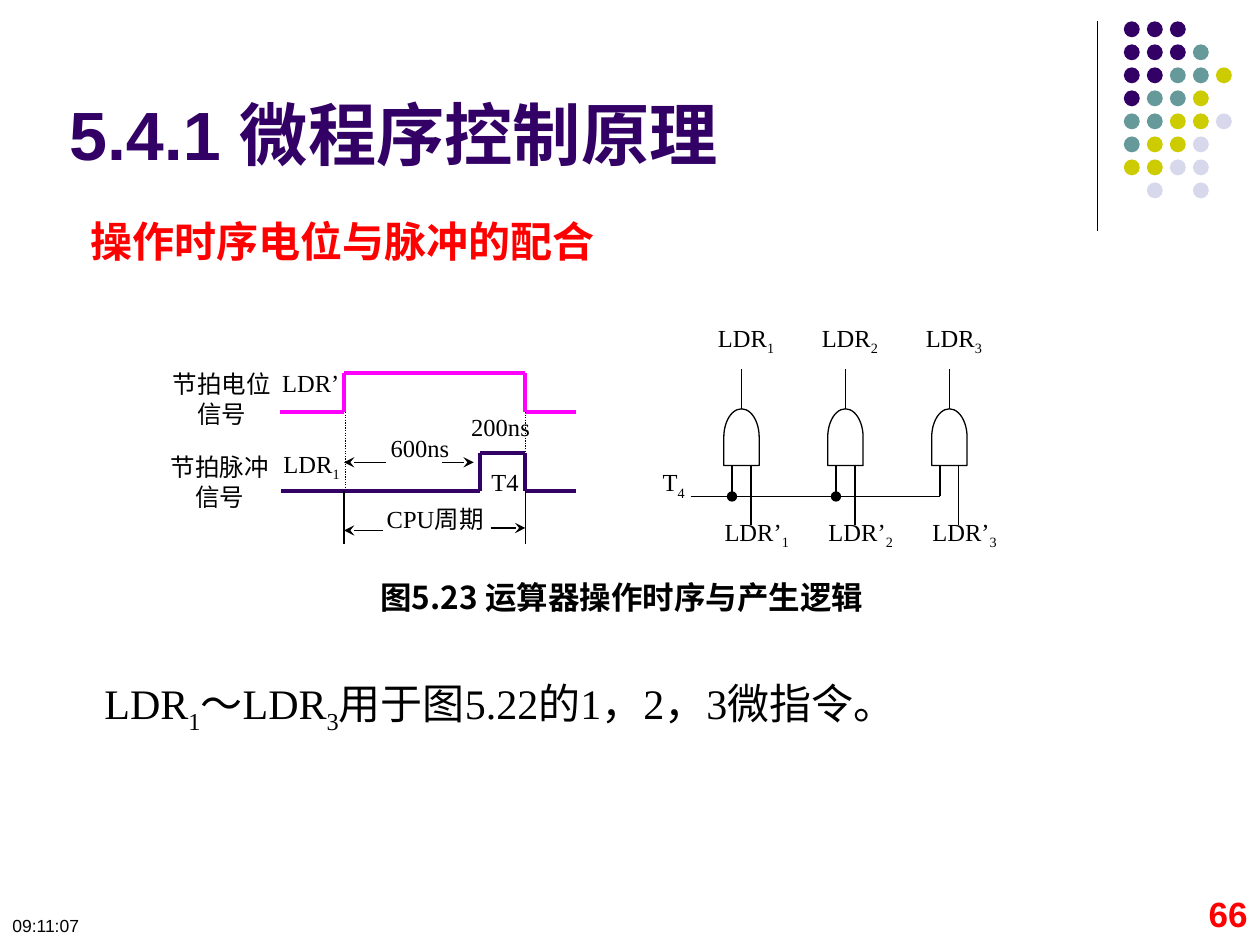
from dataclasses import dataclass

from pptx import Presentation
from pptx.dml import color as col
from pptx.enum import dml, shapes as sh, text as tx
from pptx.oxml import ns, xmlchemy as xml
from pptx.util import Pt


@dataclass(frozen=True)
class Theme:
    ink: str = "000000"
    deep: str = "330066"
    teal: str = "669999"
    lime: str = "CCCC00"
    pale: str = "D8D8EC"
    pink: str = "FF00FF"
    red: str = "FF0000"
    white: str = "FFFFFF"
    sans: str = "Arial"
    serif: str = "Times New Roman"
    han: str = "Noto Sans CJK SC"
    title: float = 39
    body: float = 24
    note: float = 18
    page: float = 20
    label: float = 14
    clock: float = 10
    thin: float = 0.75
    thick: float = 2.25


T = Theme()


def rgb(code):
    return col.RGBColor.from_string(code)


def apply(obj, vals):
    for key, val in vals.items():
        setattr(obj, key, val)


def sub(node, tag, **vals):
    child = xml.OxmlElement(tag)
    for key, val in vals.items():
        child.set(key, val)
    node.append(child)


def write(para, words, size, face, hue, bold, low=False):
    run = para.add_run()
    run.text = words
    apply(run.font, {"size": Pt(size), "name": face, "bold": bold})
    run.font.color.rgb = rgb(hue)
    props = run.font._element
    sub(props, "a:ea", typeface=T.han)
    if low:
        props.set("baseline", "-25000")


def label(parts, box, words, size=T.label, face=T.serif, hue=T.ink,
          bold=False, align=tx.PP_ALIGN.LEFT, pad=(0, 0)):
    item = parts.add_textbox(*map(Pt, box))
    frame = item.text_frame
    side, edge = map(Pt, pad)
    apply(frame, {"word_wrap": True, "margin_left": side, "margin_right": side,
                  "margin_top": edge, "margin_bottom": edge})
    para = frame.paragraphs[0]
    para.alignment = align
    style = (size, face, hue, bold)
    first, *rest = words.split("_")
    write(para, first, *style)
    for piece in rest:
        write(para, piece[0], *style, low=True)
        if piece[1:]:
            write(para, piece[1:], *style)


def line(parts, x1, y1, x2, y2, hue=T.ink, width=T.thin, dash=None, tail=None):
    item = parts.add_connector(sh.MSO_CONNECTOR.STRAIGHT, *map(Pt, (x1, y1, x2, y2)))
    apply(item.line, {"width": Pt(width), "dash_style": dash})
    item.line.color.rgb = rgb(hue)
    if tail:
        sub(item.line._get_or_add_ln(), "a:tailEnd", type=tail)
    sub(item._element.find(ns.qn("p:spPr")), "a:effectLst")


def solid(parts, kind, box, fill, edge=None):
    item = parts.add_shape(kind, *map(Pt, box))
    item.shadow.inherit = False
    item.fill.solid()
    item.fill.fore_color.rgb = rgb(fill)
    if edge:
        item.line.color.rgb = rgb(edge)
        item.line.width = Pt(T.thin)
    else:
        item.line.fill.background()
    return item


def dots(slide, box):
    x, y, wide, high = box
    line(slide.shapes, x, y, x, y + high)
    parts = slide.shapes.add_group_shape().shapes
    hues = {"d": T.deep, "t": T.teal, "l": T.lime, "p": T.pale}
    rows = ("ddd", "dddt", "ddttl", "dttl", "ttllp", "tllp", "llpp", ".p.p")
    size = 9.1
    step = (wide - 15.1 - size) / 4
    for r, row in enumerate(rows):
        for c, key in enumerate(row):
            if key in hues:
                spot = (x + 15.1 + c * step, y + r * step, size, size)
                solid(parts, sh.MSO_SHAPE.OVAL, spot, hues[key])


def waves(slide, box):
    x, y = box
    parts = slide.shapes.add_group_shape().shapes
    start, rise, fall, end = x + 64, x + 178.5, x + 204.2, x + 233
    left = x + 100.6
    high, low, top, base, foot = y + 3.1, y + 25.4, y + 49, y + 70.8, y + 101
    for begin, up, peak, floor, hue in ((start, left, high, low, T.pink),
                                        (start + 0.7, rise, top, base, T.deep)):
        for ends in ((begin, floor, up, floor), (up, floor, up, peak),
                     (up, peak, fall, peak), (fall, peak, fall, floor),
                     (fall, floor, end, floor)):
            line(parts, *ends, hue=hue, width=T.thick)
    for pos, stop in ((left + 0.7, base - 1.5), (fall, top)):
        line(parts, pos, low, pos, stop, dash=dml.MSO_LINE.ROUND_DOT)
    for pos in (left, fall):
        line(parts, pos, base, pos, foot)
    for x1, x2, drop in ((156.7, 174.7, 54.2), (124.5, 100.6, 54.2),
                         (184.3, 204.2, 91.7), (123.1, 100.6, 93.1)):
        line(parts, x + x1, y + drop, x + x2, y + drop, tail="stealth")
    for dx, dy, wide, words in ((173.3, 25.4, 41, "200ns"), (127.2, 37.7, 36, "600ns"),
                                (65.3, 0.2, 42, "LDR’"), (66, 46.3, 36, "LDR_1"),
                                (125, 78, 60, "CPU周期"), (184.8, 57.1, 25, "T4")):
        label(parts, (x + dx, y + dy, wide, 26), words)
    for dx, dy, words in ((1.2, 1, "节拍电位信号"), (0, 48.5, "节拍脉冲信号")):
        label(parts, (x + dx, y + dy, 59, 39), words, align=tx.PP_ALIGN.CENTER)


def gates(slide, box):
    x, y = box
    parts = slide.shapes.add_group_shape().shapes
    step, gap, wide, high = 59.4, 5.4, 32.4, 20.2
    bus = y + 99.4
    last = x + 45 + 2 * step - gap
    label(parts, (x, y + 82.8, 25, 26), "T_4")
    line(parts, x + 15.9, bus, last, bus)
    for k in range(3):
        mid = x + 45 + k * step
        spot = (mid - wide / 2, y + 65.5 - high / 2, wide, high)
        gate = solid(parts, sh.MSO_SHAPE.FLOWCHART_DELAY, spot, T.white, T.ink)
        gate.rotation = 270
        line(parts, mid, y + 26.7, mid, y + 49)
        line(parts, mid - gap, y + 82, mid - gap, bus, tail="oval" if k < 2 else None)
        line(parts, mid + gap, y + 82, mid + gap, y + 116)
        label(parts, (mid - 13.5, y, 48, 26), f"LDR_{k + 1}")
        label(parts, (mid - 9.7, y + 111, 48, 26), f"LDR’_{k + 1}")


def words(slide):
    parts = slide.shapes
    pad = (7.2, 3.6)
    label(parts, (32.4, 49, 409, 62.6), "5.4.1 微程序控制原理",
          T.title, T.sans, T.deep, True, pad=pad)
    label(parts, (44.6, 119.5, 330, 36), "操作时序电位与脉冲的配合",
          T.body, T.han, T.red, True, pad=pad)
    label(parts, (217.4, 330.5, 300, 24.5), "图5.23 运算器操作时序与产生逻辑",
          T.note, T.han, bold=True)
    label(parts, (52.6, 383.8, 471, 36), "LDR_1〜LDR_3用于图5.22的1，2，3微指令。",
          T.body, pad=pad)


def foot(slide, box):
    x, y, wide, high = box
    pad = (7.2, 3.6)
    label(slide.shapes, (x, y + 13, 168, high - 13), "09:11:07",
          T.clock, T.sans, pad=pad)
    label(slide.shapes, (x + wide - 42.5, y, 42.5, high), "66",
          T.page, T.sans, T.red, True, tx.PP_ALIGN.RIGHT, pad)


def main():
    deck = Presentation()
    apply(deck, {"slide_width": Pt(720), "slide_height": Pt(540)})
    slide = deck.slides.add_slide(deck.slide_layouts[6])
    dots(slide, (627.1, 12.2, 76.8, 119.6))
    words(slide)
    waves(slide, (96, 210))
    gates(slide, (378.7, 184.3))
    foot(slide, (0, 506.2, 720, 33.8))
    deck.save("out.pptx")


if __name__ == "__main__":
    main()
